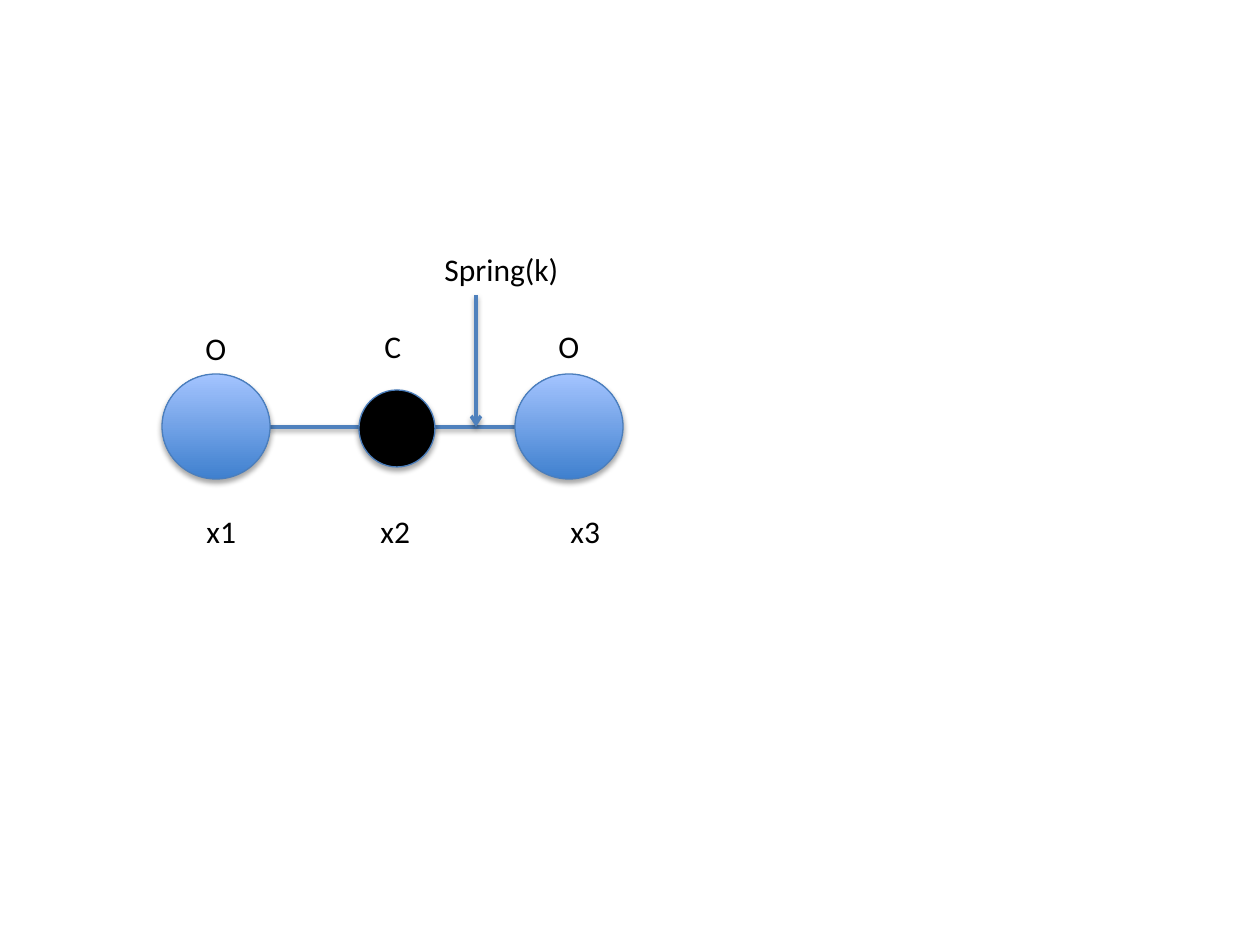
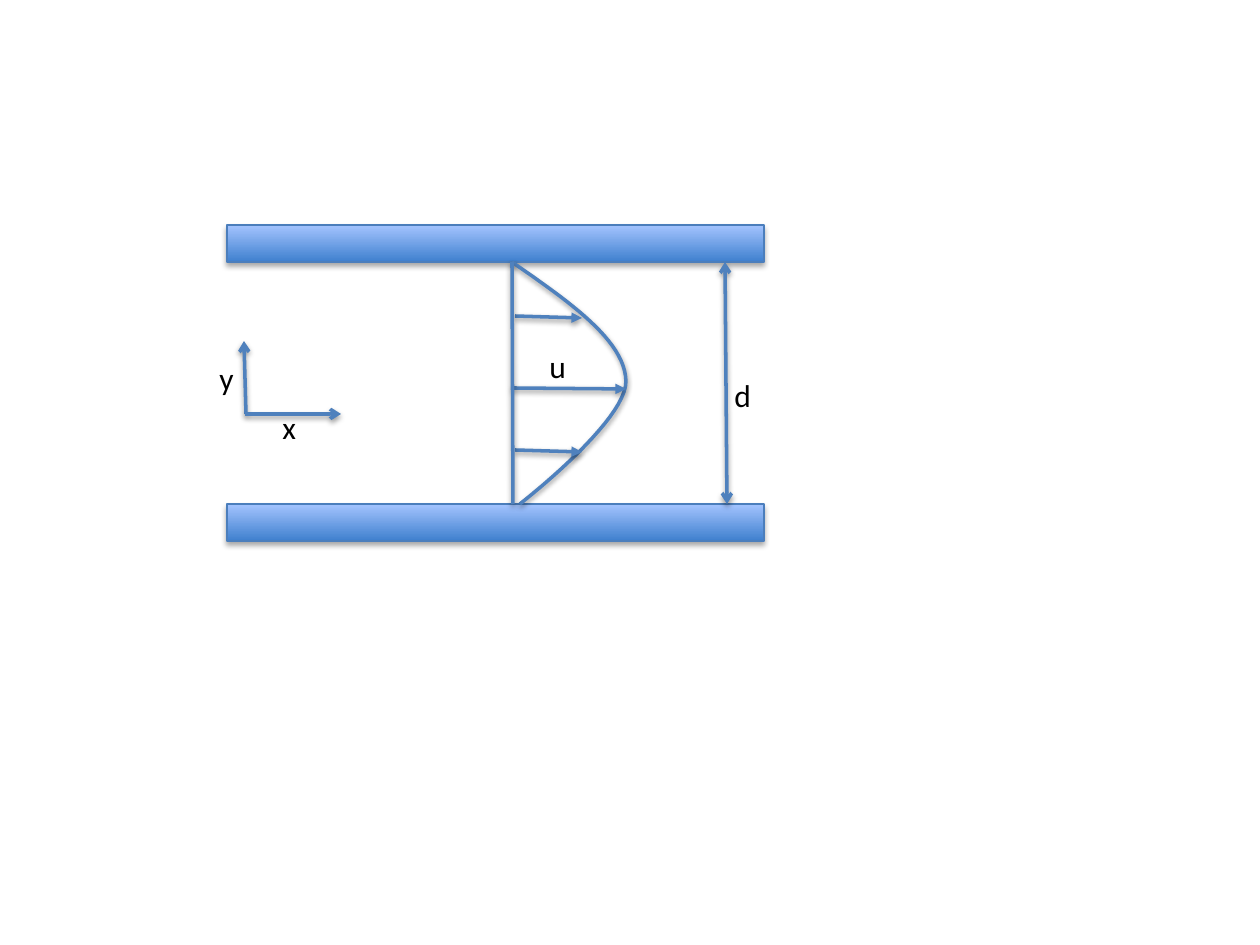
"""Builds two physics sketches: a spring-linked molecule and channel flow between plates."""
from lxml import etree
from pptx import Presentation
from pptx.dml.color import RGBColor
from pptx.enum.shapes import MSO_CONNECTOR, MSO_SHAPE
from pptx.enum.text import MSO_AUTO_SIZE
from pptx.oxml.ns import qn
from pptx.util import Inches, Pt

EMU_PER_PIXEL = 914400 / 126
FONT = "Calibri"
BLACK = RGBColor(0x00, 0x00, 0x00)
STROKE = RGBColor(0x4F, 0x81, 0xBD)
OUTLINE = RGBColor(0x4B, 0x7E, 0xBC)
DEEP_BLUE = RGBColor(0x3F, 0x80, 0xCE)
PALE_BLUE = RGBColor(0xA4, 0xC4, 0xFF)
BLANK_LAYOUT = 6


def px(*lengths):
    return [round(length * EMU_PER_PIXEL) for length in lengths]


def bezier(start, control1, control2, end, steps=24):
    points = []
    for step in range(1, steps + 1):
        t = step / steps
        weights = ((1 - t) ** 3, 3 * t * (1 - t) ** 2, 3 * t ** 2 * (1 - t), t ** 3)
        corners = (start, control1, control2, end)
        points.append(tuple(sum(w * c[axis] for w, c in zip(weights, corners))
                            for axis in (0, 1)))
    return points


class Sketch:
    def __init__(self):
        self.deck = Presentation()
        self.deck.slide_width, self.deck.slide_height = Inches(10), Inches(7.5)
        self.shapes = None

    def new_slide(self):
        layout = self.deck.slide_layouts[BLANK_LAYOUT]
        self.shapes = self.deck.slides.add_slide(layout).shapes

    def shadow(self, shape, distance, opacity):
        properties = shape.element.spPr
        for old in properties.findall(qn("a:effectLst")):
            properties.remove(old)
        effects = etree.SubElement(properties, qn("a:effectLst"))
        outer = etree.SubElement(effects, qn("a:outerShdw"), blurRad=str(Pt(3.1)),
                                 dist=str(Pt(distance)), dir="5400000", rotWithShape="0")
        colour = etree.SubElement(outer, qn("a:srgbClr"), val=str(BLACK))
        etree.SubElement(colour, qn("a:alpha"), val=str(opacity * 1000))

    def stroke(self, shape):
        shape.line.color.rgb = STROKE
        shape.line.width = Pt(2)
        self.shadow(shape, 1.6, 38)

    def solid(self, kind, x, y, width, height, fill=None):
        shape = self.shapes.add_shape(kind, *px(x, y, width, height))
        if fill is None:
            shape.fill.gradient()
            shape.fill.gradient_angle = 90
            for stop, colour in zip(shape.fill.gradient_stops, (DEEP_BLUE, PALE_BLUE)):
                stop.color.rgb = colour
        else:
            shape.fill.solid()
            shape.fill.fore_color.rgb = fill
        shape.line.color.rgb = OUTLINE
        shape.line.width = Pt(0.75)
        self.shadow(shape, 1.8, 35)

    def line(self, start, end, head=None, tail=None):
        connector = self.shapes.add_connector(MSO_CONNECTOR.STRAIGHT, *px(*start, *end))
        self.stroke(connector)
        outline = connector.element.spPr.find(qn("a:ln"))
        for tag, arrow in (("a:headEnd", head), ("a:tailEnd", tail)):
            if arrow:
                etree.SubElement(outline, qn(tag), type=arrow)

    def curve(self, start, *segments):
        points = []
        corner = start
        for segment in segments:
            points += bezier(corner, *segment)
            corner = segment[-1]
        builder = self.shapes.build_freeform(*px(*start))
        builder.add_line_segments([px(*point) for point in points], close=False)
        shape = builder.convert_to_shape()
        shape.fill.background()
        self.stroke(shape)

    def label(self, text, x, y, width):
        frame = self.shapes.add_textbox(*px(x, y, width, 50)).text_frame
        frame.word_wrap = False
        frame.auto_size = MSO_AUTO_SIZE.SHAPE_TO_FIT_TEXT
        run = frame.paragraphs[0].add_run()
        run.text = text
        run.font.name, run.font.size = FONT, Pt(18)
        run.font.color.rgb = BLACK


def draw_molecule(sketch):
    sketch.new_slide()
    bond_y = 427
    sketch.line((270, bond_y), (515, bond_y))
    for oxygen_x in (162, 515):
        sketch.solid(MSO_SHAPE.OVAL, oxygen_x, 374, 108, 105)
    sketch.solid(MSO_SHAPE.OVAL, 359, 390, 76, 77, BLACK)
    for number, x in enumerate((194, 368, 558), start=1):
        sketch.label(f"x{number}", x, 506, 55)
    for atom, x, y, width in (("O", 193, 323, 47), ("O", 546, 321, 47), ("C", 372, 321, 43)):
        sketch.label(atom, x, y, width)
    sketch.label("Spring(k)", 432, 244, 141)
    sketch.line((476, 295), (476, bond_y), tail="arrow")


def draw_channel(sketch):
    sketch.new_slide()
    top, bottom, plate_height = 262, 504, 37
    for plate_y in (top - plate_height, bottom):
        sketch.solid(MSO_SHAPE.RECTANGLE, 227, plate_y, 537, plate_height)
    sketch.curve((512, top), ((568, 301), (625, 340), (626, 381)),
                 ((627, 421), (520, bottom), (520, bottom)))
    for start, end in (((515, 316), (582, 318)), ((512, 388), (626, 389)),
                       ((515, 450), (582, 452))):
        sketch.line(start, end, tail="triangle")
    sketch.line((512, top), (513, bottom))
    sketch.label("u", 537, 341, 42)
    sketch.line((246, 414), (244, 341), tail="arrow")
    sketch.label("y", 207, 353, 40)
    sketch.line((245, 414), (341, 414), tail="arrow")
    sketch.label("x", 270, 402, 39)
    sketch.line((725, top), (727, bottom), head="arrow", tail="arrow")
    sketch.label("d", 722, 370, 42)


sketch = Sketch()
draw_molecule(sketch)
draw_channel(sketch)
sketch.deck.save("out.pptx")
